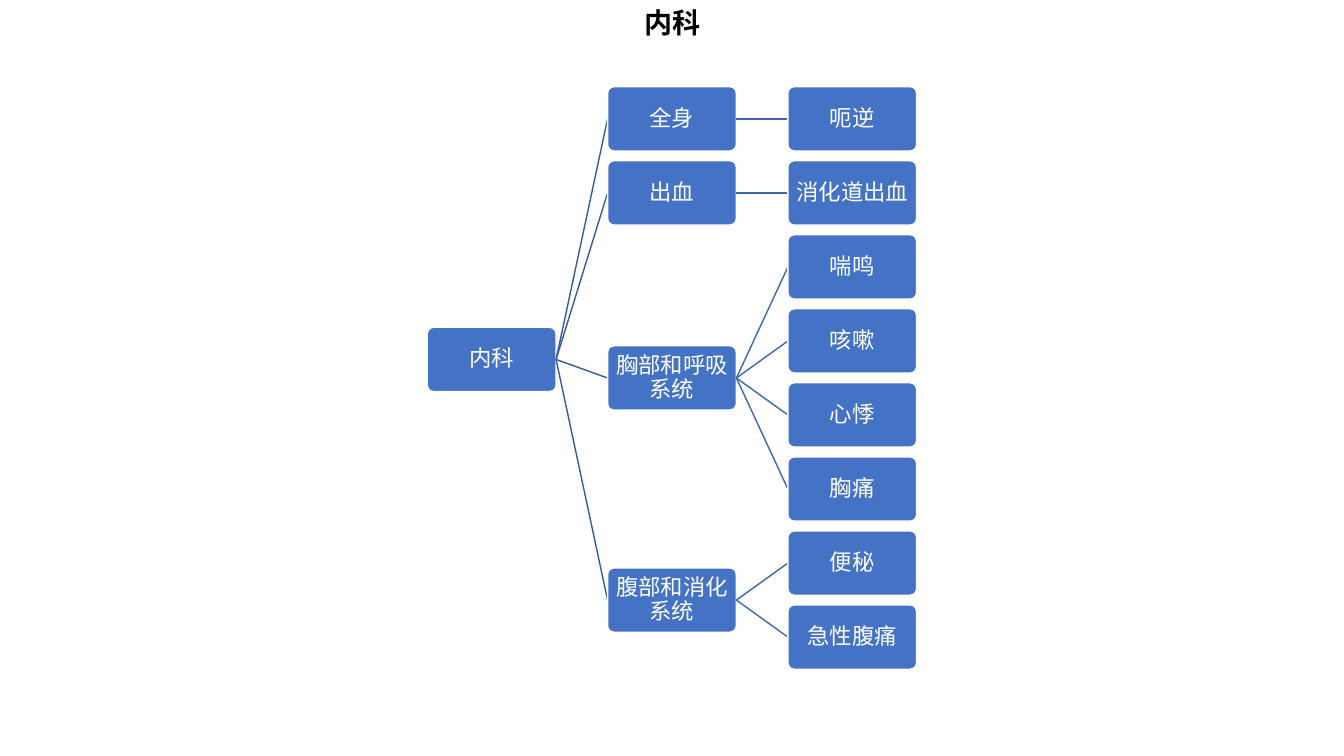
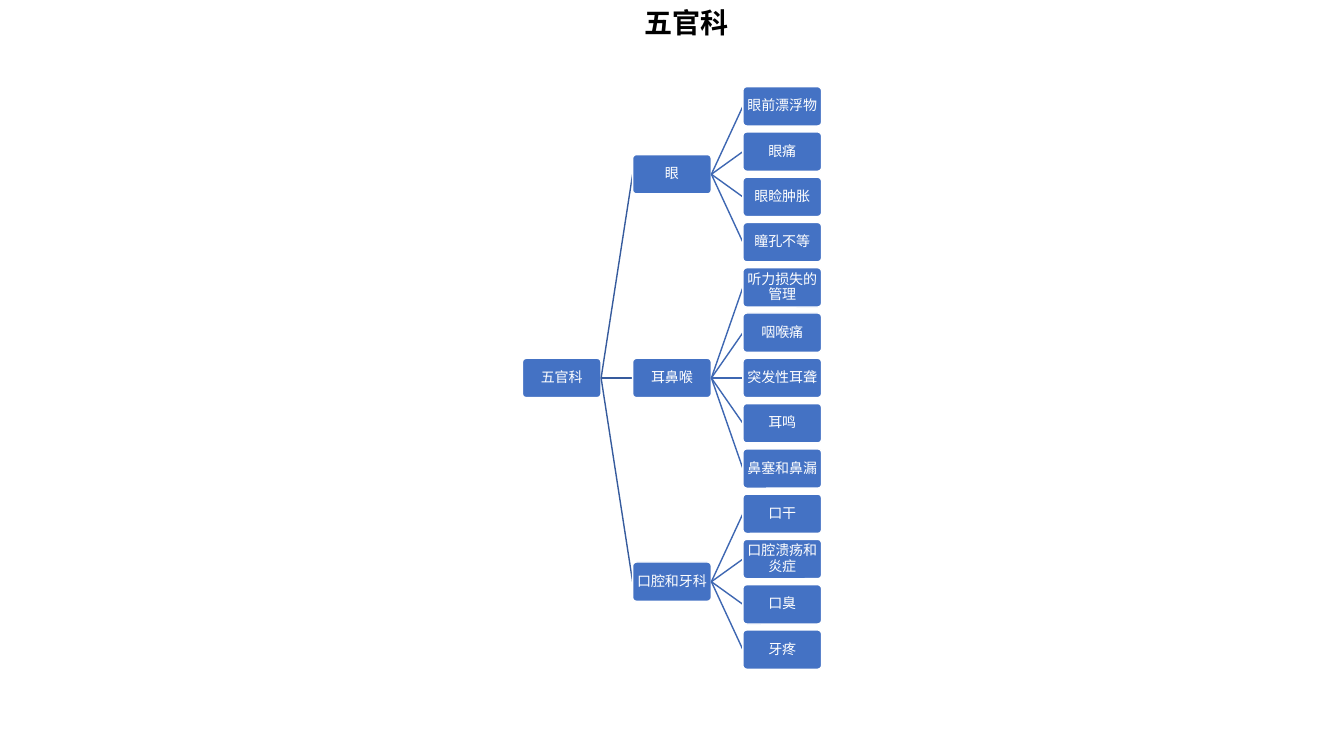
from lxml.etree import SubElement
from pptx import Presentation
from pptx.dml.color import RGBColor
from pptx.enum.shapes import MSO_CONNECTOR, MSO_SHAPE
from pptx.enum.text import MSO_ANCHOR, MSO_AUTO_SIZE, PP_ALIGN
from pptx.oxml.ns import qn
from pptx.util import Inches, Pt

COLORS = {"box": "4472C4", "white": "FFFFFF", "title": "000000",
          "branch": "365B9D", "twig": "3E67B2"}
FONT = "Noto Sans CJK SC"
SLIDE_WIDTH, SLIDE_HEIGHT = 13.33, 7.5
TREE_HEIGHT = 5.78
COLUMN_STEP, ROW_STEP = 1.4, 1.15  # in box widths and box heights

DEPARTMENTS = [
    ("内科", 16, 0.76, {
        "全身": ["呃逆"],
        "出血": ["消化道出血"],
        "胸部和呼吸系统": ["喘鸣", "咳嗽", "心悸", "胸痛"],
        "腹部和消化系统": ["便秘", "急性腹痛"],
    }),
    ("五官科", 10, 1.04, {
        "眼": ["眼前漂浮物", "眼痛", "眼睑肿胀", "瞳孔不等"],
        "耳鼻喉": ["听力损失的管理", "咽喉痛", "突发性耳聋", "耳鸣", "鼻塞和鼻漏"],
        "口腔和牙科": ["口干", "口腔溃疡和炎症", "口臭", "牙疼"],
    }),
]


def color(name):
    return RGBColor.from_string(COLORS[name])


def write(frame, text, *, size, fill, bold=False, align=PP_ALIGN.LEFT,
          anchor=MSO_ANCHOR.TOP, spacing=1.0, wrap=True):
    frame.word_wrap = wrap
    frame.vertical_anchor = anchor
    para = frame.paragraphs[0]
    para.alignment = align
    para.line_spacing = spacing
    para.space_before = Pt(0)
    span = para.add_run()
    span.text = text
    span.font.size = Pt(size)
    span.font.bold = bold
    span.font.color.rgb = color(fill)
    span.font.name = FONT
    SubElement(span.font._element, qn("a:ea"), typeface=FONT)


def middle(centers):
    return (centers[0] + centers[-1]) / 2


class TreeDeck:
    def __init__(self):
        self.deck = Presentation()
        self.deck.slide_width = Inches(SLIDE_WIDTH)
        self.deck.slide_height = Inches(SLIDE_HEIGHT)
        self.page = None

    def add_page(self, title, title_width):
        self.page = self.deck.slides.add_slide(self.deck.slide_layouts[5])
        box = self.page.shapes.title
        box.left, box.top = Inches(6.29), Inches(0)
        box.width, box.height = Inches(title_width), Inches(0.44)
        write(box.text_frame, title, size=20, fill="title", bold=True, wrap=False)
        box.text_frame.auto_size = MSO_AUTO_SIZE.SHAPE_TO_FIT_TEXT

    def add_box(self, text, left, center, width, size):
        height = width / 2
        box = self.page.shapes.add_shape(
            MSO_SHAPE.ROUNDED_RECTANGLE, Inches(left), Inches(center - height / 2),
            Inches(width), Inches(height))
        box.adjustments[0] = 0.1
        box.shadow.inherit = False
        box.fill.solid()
        box.fill.fore_color.rgb = color("box")
        box.line.color.rgb = color("white")
        box.line.width = Pt(1)
        frame = box.text_frame
        frame.margin_left = frame.margin_right = Inches(0.01)
        frame.margin_top = frame.margin_bottom = Inches(0.01)
        write(frame, text, size=size, fill="white", align=PP_ALIGN.CENTER,
              anchor=MSO_ANCHOR.MIDDLE, spacing=0.9)

    def add_link(self, start, end, line_color):
        link = self.page.shapes.add_connector(
            MSO_CONNECTOR.STRAIGHT, *(Inches(value) for value in start + end))
        link.line.color.rgb = color(line_color)
        link.line.width = Pt(1)
        SubElement(link._element.spPr, qn("a:effectLst"))

    def add_tree(self, root, groups, size):
        # Box size follows from the number of leaves
        leaf_count = sum(len(leaves) for leaves in groups.values())
        height = TREE_HEIGHT / (1 + (leaf_count - 1) * ROW_STEP)
        width = 2 * height
        first_left = (SLIDE_WIDTH - width * (1 + 2 * COLUMN_STEP)) / 2
        lefts = [first_left + column * width * COLUMN_STEP for column in range(3)]
        top_center = (SLIDE_HEIGHT - TREE_HEIGHT + height) / 2

        # Each parent sits midway between its first and last child
        rows = iter(range(leaf_count))
        leaf_centers = [[top_center + next(rows) * height * ROW_STEP for _ in leaves]
                        for leaves in groups.values()]
        group_centers = [middle(centers) for centers in leaf_centers]
        root_center = middle(group_centers)

        def add_child(text, column, center, parent_center, line_color):
            self.add_link((lefts[column - 1] + width, parent_center),
                          (lefts[column], center), line_color)
            self.add_box(text, lefts[column], center, width, size)

        self.add_box(root, lefts[0], root_center, width, size)
        for (group, leaves), center, centers in zip(
                groups.items(), group_centers, leaf_centers):
            add_child(group, 1, center, root_center, "branch")
            for leaf, leaf_center in zip(leaves, centers):
                add_child(leaf, 2, leaf_center, center, "twig")


def main():
    tree_deck = TreeDeck()
    for name, size, title_width, groups in DEPARTMENTS:
        tree_deck.add_page(name, title_width)
        tree_deck.add_tree(name, groups, size)
    tree_deck.deck.save("out.pptx")


if __name__ == "__main__":
    main()
